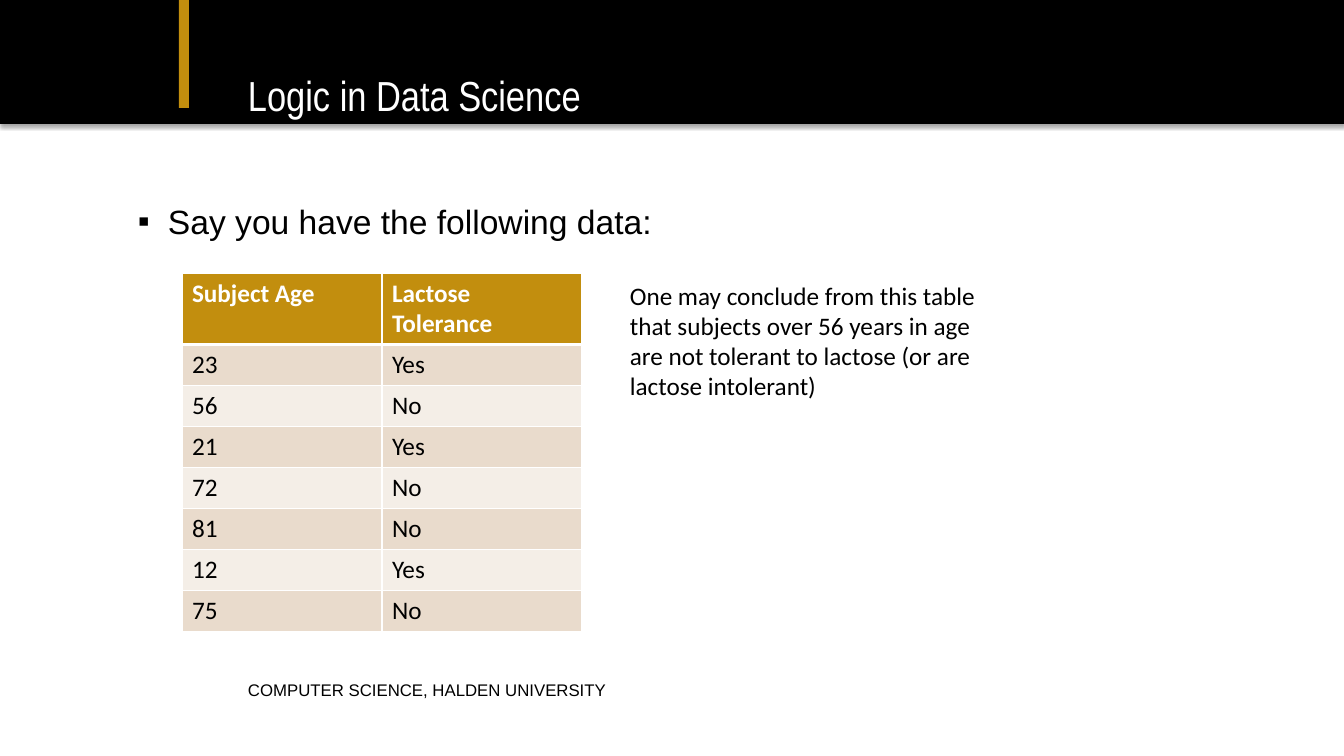
import pptx
import pptx.dml.color
import pptx.enum.shapes
import pptx.enum.text
import pptx.oxml
import pptx.oxml.ns
import pptx.util

TITLE = "Logic in Data Science"
POINT = "Say you have the following data:"
FOOT = "COMPUTER SCIENCE, HALDEN UNIVERSITY"
NOTE = ("One may conclude from this table that subjects over 56 years in age "
        "are not tolerant to lactose (or are lactose intolerant)")
ROWS = [
    ("Subject Age", "Lactose Tolerance"),
    ("23", "Yes"),
    ("56", "No"),
    ("21", "Yes"),
    ("72", "No"),
    ("81", "No"),
    ("12", "Yes"),
    ("75", "No"),
]
BLACK, WHITE, GOLD = "000000", "FFFFFF", "C28E0E"
BANDS = ("F4EEE7", "E9DBCC")
HEAD_H, ROW_H, COL_W = 70, 41, 200
ANCHOR = pptx.enum.text.MSO_ANCHOR


def px(n):
    return round(n * 914400 / 100.8)


def box(*sides):
    return [px(n) for n in sides]


def hue(code):
    return pptx.dml.color.RGBColor.from_string(code)


def node(tag, inner="", **attrs):
    """Make one DrawingML element."""
    text = "".join(f' {k}="{v}"' for k, v in attrs.items())
    space = pptx.oxml.ns.nsdecls("a")
    return pptx.oxml.parse_xml(f"<a:{tag} {space}{text}>{inner}</a:{tag}>")


def write(frame, text, font, size, color, bold=False):
    para = frame.paragraphs[0]
    run = para.add_run()
    run.text = text
    run.font.name = font
    run.font.size = pptx.util.Pt(size)
    run.font.bold = bold
    run.font.color.rgb = hue(color)
    return para


def block(slide, sides, color):
    shape = slide.shapes.add_shape(
        pptx.enum.shapes.MSO_SHAPE.RECTANGLE, *box(*sides))
    shape.fill.solid()
    shape.fill.fore_color.rgb = hue(color)
    shape.line.fill.background()
    shape.shadow.inherit = False
    glow = ('<a:outerShdw blurRad="39370" dist="22860" dir="5400000" rotWithShape="0">'
            '<a:srgbClr val="000000"><a:alpha val="35000"/></a:srgbClr></a:outerShdw>')
    props = shape._element.spPr
    props.replace(props.find(pptx.oxml.ns.qn("a:effectLst")),
                  node("effectLst", glow))
    return shape


def place(holder, sides, anchor):
    """Move a placeholder and clear its insets."""
    holder.left, holder.top, holder.width, holder.height = box(*sides)
    frame = holder.text_frame
    frame.margin_left = frame.margin_right = 0
    frame.margin_top = frame.margin_bottom = 0
    frame.word_wrap = True
    frame.auto_size = pptx.enum.text.MSO_AUTO_SIZE.NONE
    frame.vertical_anchor = anchor
    return frame


def dent(para, left, mark):
    """Set a hanging indent and a bullet, or none."""
    props = para._p.get_or_add_pPr()
    props.set("marL", str(px(left)))
    props.set("indent", str(px(-left)))
    if mark:
        props.append(node("buClr", f'<a:srgbClr val="{BLACK}"/>'))
        props.append(node("buFont", typeface="Arial"))
        props.append(node("buChar", char=mark))
    else:
        props.append(node("buNone"))


def edge(cell, row):
    """Draw white cell borders, thick under the header."""
    thick = {"T": row == 1, "B": row == 0}
    props = cell._tc.get_or_add_tcPr()
    fill = f'<a:solidFill><a:srgbClr val="{WHITE}"/></a:solidFill>'
    for spot, side in enumerate("LRTB"):
        width = pptx.util.Pt(3 if thick.get(side) else 1)
        props.insert(spot, node("ln" + side, fill, w=width))


def fill_grid(slide):
    high = HEAD_H + ROW_H * (len(ROWS) - 1)
    grid = slide.shapes.add_table(
        len(ROWS), 2, *box(182, 273, COL_W * 2, high)).table
    for r, row in enumerate(ROWS):
        head = r == 0
        grid.rows[r].height = px(HEAD_H if head else ROW_H)
        for c, text in enumerate(row):
            cell = grid.cell(r, c)
            write(cell.text_frame, text, "Calibri", 18,
                  WHITE if head else BLACK, head)
            cell.fill.solid()
            cell.fill.fore_color.rgb = hue(GOLD if head else BANDS[r % 2])
            edge(cell, r)


def main():
    deck = pptx.Presentation()
    deck.slide_width, deck.slide_height = box(1344, 756)
    slide = deck.slides.add_slide(deck.slide_layouts[3])
    title, body, foot = slide.placeholders

    band = block(slide, (0, -1, 1344, 125), BLACK)
    bar = block(slide, (179, 0, 10, 108), GOLD)
    tree = slide.shapes._spTree
    for spot, shape in enumerate((band, bar), 2):
        tree.insert(spot, shape._element)

    frame = place(title, (248, 66, 896, 58), ANCHOR.MIDDLE)
    para = write(frame, TITLE, "Arial Narrow", 30, WHITE)
    para.alignment = pptx.enum.text.PP_ALIGN.LEFT

    lists = [
        (body, (138, 201, 896, 374), ANCHOR.TOP, POINT, 24, 30, "▪"),
        (foot, (248, 678, 675, 24), ANCHOR.MIDDLE, FOOT, 12, 0, None),
    ]
    for holder, sides, anchor, text, size, left, mark in lists:
        para = write(place(holder, sides, anchor), text, "Arial", size, BLACK)
        para.space_before = pptx.util.Pt(0)
        dent(para, left, mark)

    fill_grid(slide)

    note = slide.shapes.add_textbox(*box(620, 275, 396, 132)).text_frame
    note.word_wrap = True
    note.auto_size = pptx.enum.text.MSO_AUTO_SIZE.SHAPE_TO_FIT_TEXT
    write(note, NOTE, "Calibri", 18, BLACK)
    deck.save("out.pptx")


if __name__ == "__main__":
    main()
